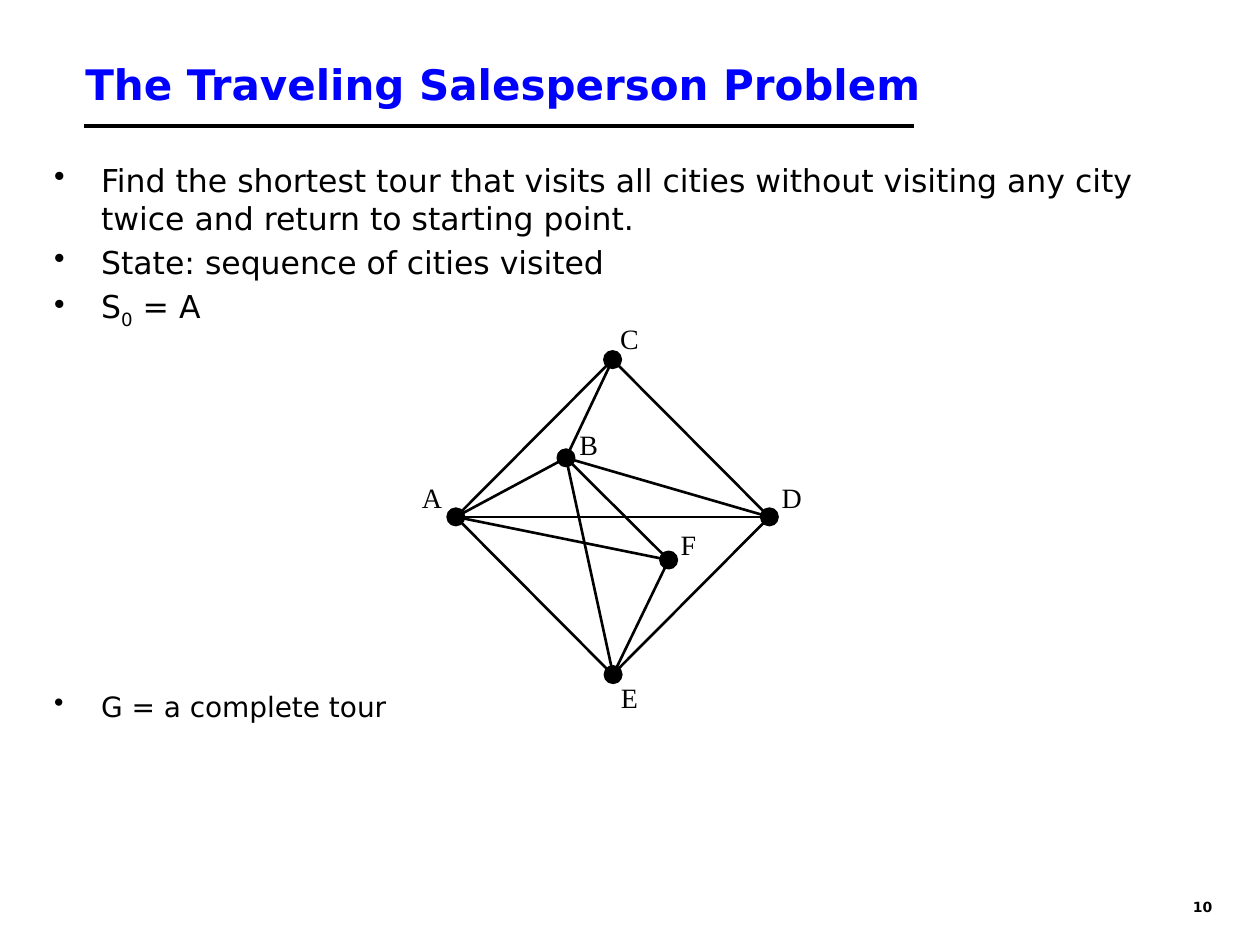
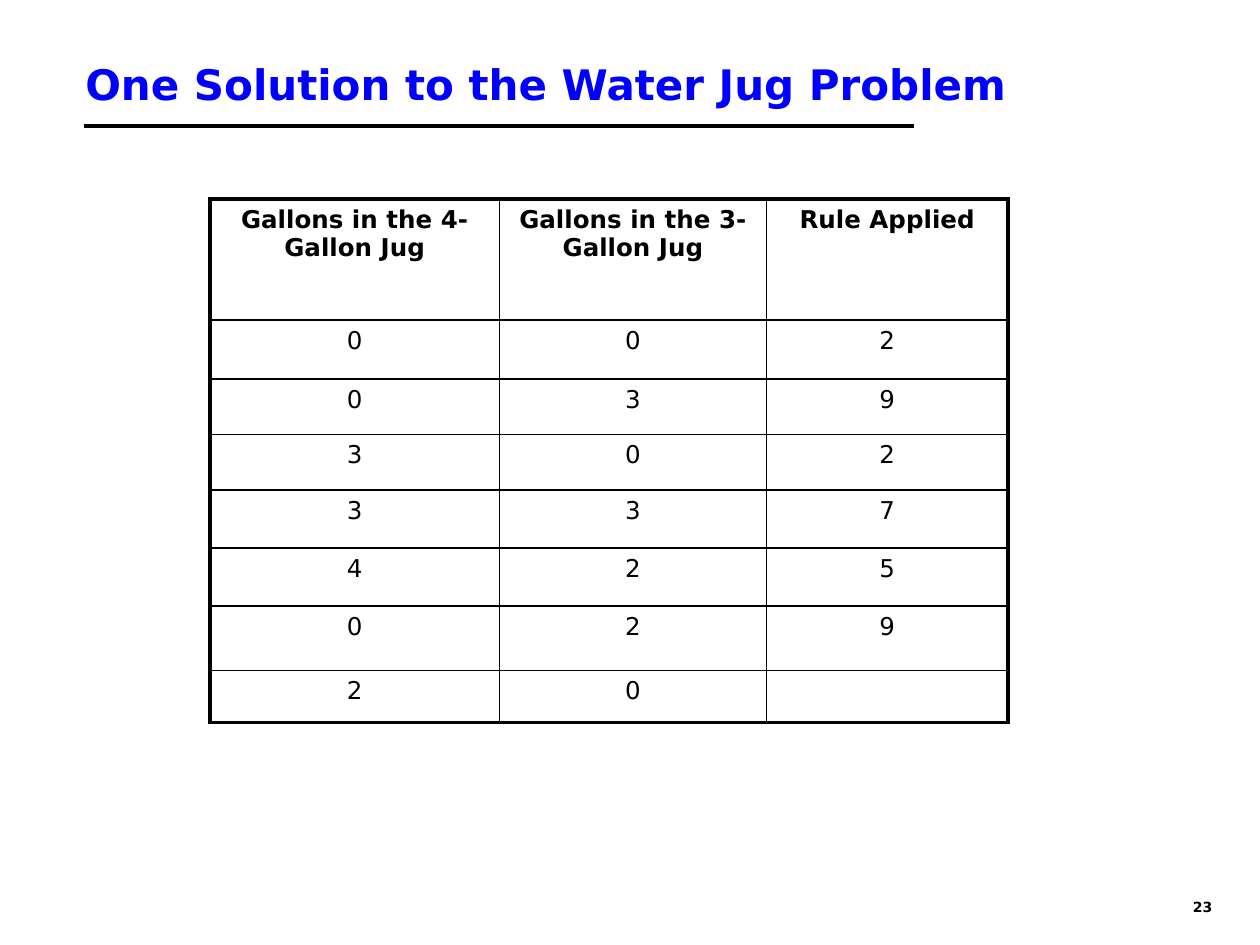
from pptx import Presentation
from pptx.dml.color import RGBColor
from pptx.enum.shapes import MSO_CONNECTOR as Connector, MSO_SHAPE as Shape
from pptx.enum.text import MSO_ANCHOR as Anchor, PP_ALIGN as Align
from pptx.oxml import parse_xml
from pptx.oxml.ns import nsdecls, qn
from pptx.util import Cm, Pt
from lxml.etree import SubElement

BLACK = RGBColor(0x00, 0x00, 0x00)
BLUE = RGBColor(0x00, 0x00, 0xFF)
SANS, SERIF = "DejaVu Sans", "Times New Roman"
THIN, EDGE, THICK = Pt(1), Pt(1.5), Pt(2.25)

# City graph, in cm from the graph's top left corner: node, then label offset
GRAPH_WIDTH, GRAPH_HEIGHT = 6.32, 6.35
CITIES = {
    "A": ((0, 3.17), (-0.48, -0.4)),
    "B": ((2.22, 1.98), (0.46, -0.27)),
    "C": ((3.16, 0), (0.34, -0.42)),
    "D": ((6.32, 3.17), (0.45, -0.4)),
    "E": ((3.17, 6.35), (0.33, 0.45)),
    "F": ((4.29, 4.04), (0.4, -0.32)),
}
INNER_ROADS = ["AD", "BF", "EF", "AB", "AF", "BC", "BE", "BD"]

JUG_HEADINGS = ["Gallons in the 4-Gallon Jug", "Gallons in the 3-Gallon Jug",
                "Rule Applied"]
JUG_STEPS = ["002", "039", "302", "337", "425", "029", "20"]
JUG_WIDTHS = [5.84, 5.38, 4.87]
JUG_HEIGHTS = [2.44, 1.19, 1.12, 1.12, 1.17, 1.17, 1.3, 1.04]


def set_font(paragraph, size, name=SANS, color=BLACK, bold=False):
    font = paragraph.font
    font.size, font.name, font.bold = Pt(size), name, bold
    font.color.rgb = color


def add_text(shapes, box, text, size, **style):
    """One-paragraph text box; box is left, top, width, height in cm."""
    frame = shapes.add_textbox(*map(Cm, box)).text_frame
    frame.word_wrap = True
    frame.text = text
    set_font(frame.paragraphs[0], size, **style)
    return frame


def add_line(shapes, start, end, width):
    line = shapes.add_connector(Connector.STRAIGHT, *map(Cm, (*start, *end)))
    line.line.color.rgb = BLACK
    line.line.width = width
    SubElement(line._element.spPr, qn("a:effectLst"))


def add_outlined(shapes, kind, box):
    shape = shapes.add_shape(kind, *map(Cm, box))
    shape.shadow.inherit = False
    shape.line.color.rgb = BLACK
    shape.line.width = EDGE
    return shape


def add_base_slide(deck, title, number):
    """Blank slide with the shared title, rule and page number."""
    slide = deck.slides.add_slide(deck.slide_layouts[6])
    heading = add_text(slide.shapes, (1.47, 0.85, 21.59, 1.69), title, 24,
                       color=BLUE, bold=True)
    heading.vertical_anchor = Anchor.MIDDLE
    add_line(slide.shapes, (1.7, 2.54), (18.42, 2.54), THICK)
    add_text(slide.shapes, (23.8, 17.98, 1.16, 0.58), number, 8, bold=True)
    return slide


def add_bullets(slide, box, items, size):
    """Bulleted list; each item is a list of (text, baseline) runs."""
    frame = slide.shapes.add_textbox(*map(Cm, box)).text_frame
    frame.word_wrap = True
    for index, item in enumerate(items):
        paragraph = frame.paragraphs[0] if index == 0 else frame.add_paragraph()
        for text, baseline in item:
            run = paragraph.add_run()
            run.text = text
            if baseline:
                run.font._element.set("baseline", str(baseline))
        paragraph.space_before = Pt(size * 0.2)
        set_font(paragraph, size)
        props = paragraph._p.get_or_add_pPr()
        props.set("marL", str(Cm(0.95)))
        props.set("indent", str(-Cm(0.95)))
        props.find(qn("a:defRPr")).addprevious(
            parse_xml(f'<a:buChar {nsdecls("a")} char="•"/>'))


def add_city_graph(slide, left, top):
    shapes = slide.shapes.add_group_shape().shapes
    spots = {city: (left + x, top + y) for city, ((x, y), _) in CITIES.items()}

    # Outer roads, then inner roads
    ring = add_outlined(shapes, Shape.DIAMOND,
                        (left, top, GRAPH_WIDTH, GRAPH_HEIGHT))
    ring.fill.background()
    for start, end in INNER_ROADS:
        add_line(shapes, spots[start], spots[end], EDGE)

    # Cities and their letters
    dot, label = 0.33, 0.9
    for city, (x, y) in spots.items():
        node = add_outlined(shapes, Shape.OVAL,
                            (x - dot / 2, y - dot / 2, dot, dot))
        node.fill.solid()
        node.fill.fore_color.rgb = BLACK
        dx, dy = CITIES[city][1]
        letter = add_text(shapes, (x + dx - label / 2, y + dy - label / 2,
                                   label, label), city, 16, name=SERIF)
        letter.margin_left = letter.margin_right = 0
        letter.margin_top = letter.margin_bottom = 0
        letter.vertical_anchor = Anchor.MIDDLE
        letter.paragraphs[0].alignment = Align.CENTER


def set_borders(cell, **widths):
    """Black borders by side: L, R, T, B in that order."""
    props = cell._tc.get_or_add_tcPr()
    for side, width in widths.items():
        props.append(parse_xml(
            f'<a:ln{side} {nsdecls("a")} w="{width}"><a:solidFill>'
            f'<a:srgbClr val="{BLACK}"/></a:solidFill></a:ln{side}>'))


def add_jug_table(slide, left, top):
    rows = [JUG_HEADINGS, *(list(step) for step in JUG_STEPS)]
    last_row, last_column = len(rows) - 1, len(JUG_HEADINGS) - 1
    table = slide.shapes.add_table(
        len(rows), len(JUG_HEADINGS), Cm(left), Cm(top),
        Cm(sum(JUG_WIDTHS)), Cm(sum(JUG_HEIGHTS))).table
    table.first_row = table.horz_banding = False
    for column, width in zip(table.columns, JUG_WIDTHS):
        column.width = Cm(width)
    for row, height in zip(table.rows, JUG_HEIGHTS):
        row.height = Cm(height)

    for r, values in enumerate(rows):
        for c in range(last_column + 1):
            cell = table.cell(r, c)
            if c < len(values):
                cell.text = values[c]
            paragraph = cell.text_frame.paragraphs[0]
            paragraph.alignment = Align.CENTER
            paragraph.space_before = Pt(2.8)
            set_font(paragraph, 14, bold=r == 0)
            set_borders(cell,
                        L=THICK if c == 0 else THIN,
                        R=THICK if c == last_column else THIN,
                        T=THICK if r == 0 else THIN,
                        B=THICK if r == last_row else THIN)
            cell.fill.background()


def add_salesperson_slide(deck):
    slide = add_base_slide(deck, "The Traveling Salesperson Problem", "10")
    add_bullets(slide, (0.84, 3.12, 22.86, 5.13), [
        [("Find the shortest tour that visits all cities without visiting "
          "any city twice and return to starting point.", 0)],
        [("State: sequence of cities visited", 0)],
        [("S", 0), ("0", -25000), (" = A", 0)],
    ], 18)
    add_bullets(slide, (0.84, 13.77, 22.86, 1.22),
                [[("G = a complete tour", 0)]], 16)
    add_city_graph(slide, 9.19, 7.25)


def add_water_jug_slide(deck):
    slide = add_base_slide(deck, "One Solution to the Water Jug Problem", "23")
    add_jug_table(slide, 4.23, 4.01)


def main():
    deck = Presentation()
    deck.slide_width, deck.slide_height = Cm(25.4), Cm(19.05)
    add_salesperson_slide(deck)
    add_water_jug_slide(deck)
    deck.save("out.pptx")


if __name__ == "__main__":
    main()
